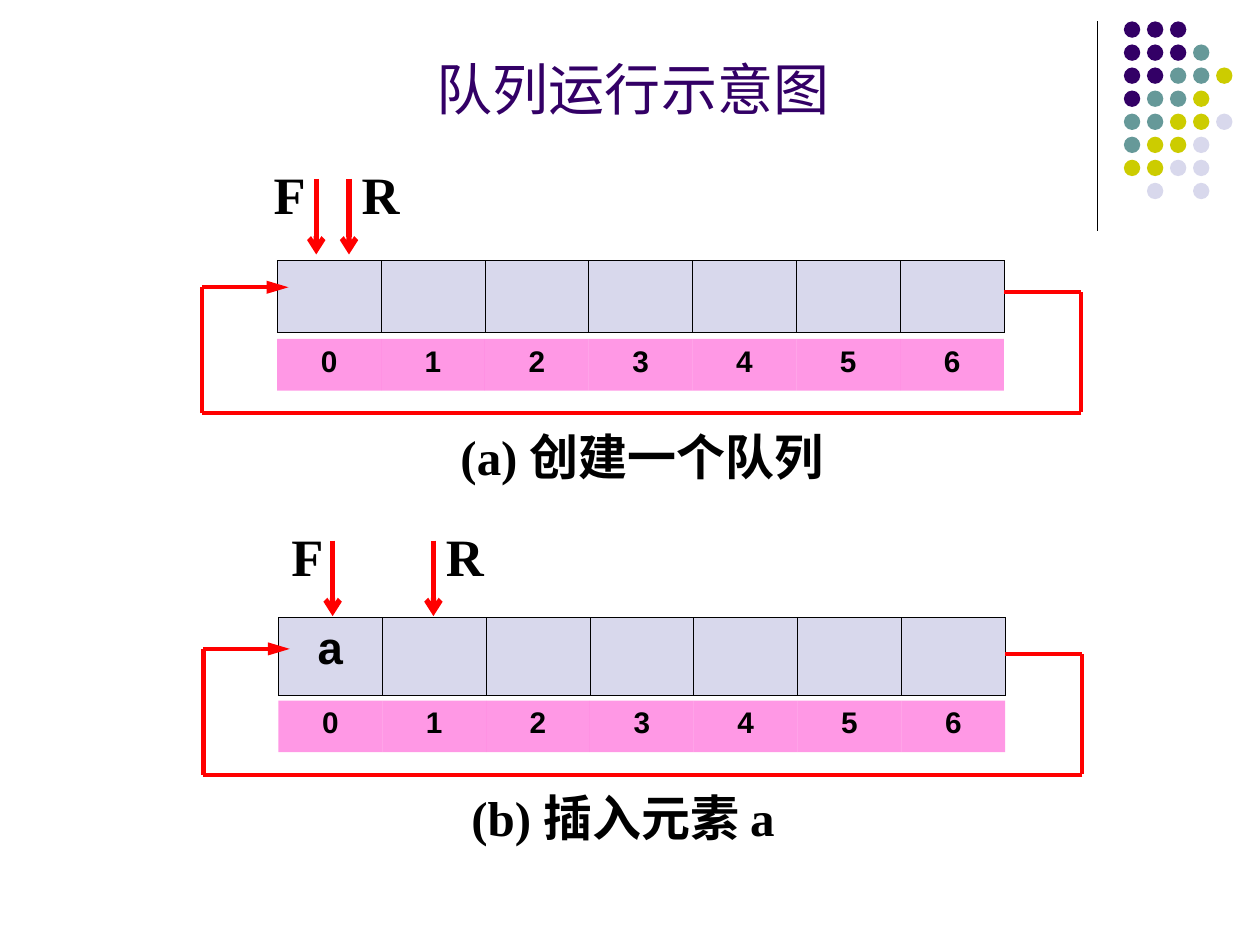
from lxml import etree
from pptx import Presentation
from pptx.dml.color import RGBColor
from pptx.enum.shapes import MSO_CONNECTOR, MSO_SHAPE
from pptx.enum.text import MSO_ANCHOR, PP_ALIGN
from pptx.oxml.ns import qn
from pptx.util import Inches, Pt

LINE = MSO_CONNECTOR.STRAIGHT
OVAL = MSO_SHAPE.OVAL
MIDDLE = MSO_ANCHOR.MIDDLE
CENTER = PP_ALIGN.CENTER

BLACK = RGBColor(0x00, 0x00, 0x00)
PURPLE = RGBColor(0x33, 0x00, 0x66)
TEAL = RGBColor(0x66, 0x99, 0x99)
YELLOW = RGBColor(0xCC, 0xCC, 0x00)
PALE = RGBColor(0xD8, 0xD8, 0xEC)
PINK = RGBColor(0xFF, 0x33, 0xCC)
RED = RGBColor(0xFF, 0x00, 0x00)

SANS, SERIF, HAN = "Arial", "Times New Roman", "Noto Sans CJK SC"
COLS, ROWS = 100, 75
SLOTS = 7
DOTS = ("PPP", "PPPT", "PPTTY", "PTTY", "TTYYL", "TYYL", "YYLL", " L L")
TINTS = {"P": PURPLE, "T": TEAL, "Y": YELLOW, "L": PALE}


def write(frame, *parts, size, font=SERIF, color=BLACK, bold=True, space=None):
    para = frame.paragraphs[0]
    para.alignment = CENTER
    if space:
        para.line_spacing = Pt(space)
    for part in parts:
        text, face = part if isinstance(part, tuple) else (part, font)
        run = para.add_run()
        run.text = text
        run.font.name = face
        run.font.size = Pt(size)
        run.font.bold = bold
        run.font.color.rgb = color
        latin = run.font._element.find(qn("a:latin"))
        east = etree.Element(qn("a:ea"), typeface=face)
        latin.addnext(east)


class Board:
    def __init__(self, deck):
        self.slide = deck.slides.add_slide(deck.slide_layouts[6])
        self.col = deck.slide_width / COLS
        self.row = deck.slide_height / ROWS

    def place(self, x, y, w, h):
        return (round(x * self.col), round(y * self.row),
                round(w * self.col), round(h * self.row))

    def dot(self, x, y, size, color):
        oval = self.slide.shapes.add_shape(OVAL, *self.place(x, y, size, size))
        oval.shadow.inherit = False
        oval.fill.solid()
        oval.fill.fore_color.rgb = color
        oval.line.fill.background()

    def line(self, x, y, dx, dy, color=RED, width=2.5, head=None, size="med"):
        ends = self.place(x, y, x + dx, y + dy)
        link = self.slide.shapes.add_connector(LINE, *ends)
        link.line.color.rgb = color
        link.line.width = Pt(width)
        if head:
            etree.SubElement(link.line._get_or_add_ln(), qn("a:tailEnd"),
                             type=head, w="med", len=size)
        etree.SubElement(link._element.spPr, qn("a:effectLst"))

    def label(self, box, *parts, space=33, **style):
        frame = self.slide.shapes.add_textbox(*self.place(*box)).text_frame
        frame.word_wrap = True
        frame.margin_left = frame.margin_right = 0
        frame.margin_top = frame.margin_bottom = 0
        frame.vertical_anchor = MIDDLE
        write(frame, *parts, space=space, **style)

    def strip(self, box, items, size, fill, alpha=None, edge=None):
        table = self.slide.shapes.add_table(1, SLOTS, *self.place(*box)).table
        table.first_row = table.horz_banding = False
        for cell, item in zip(table.rows[0].cells, items):
            cell.fill.solid()
            cell.fill.fore_color.rgb = fill
            if alpha:
                tint = cell.fill._xPr.find(".//" + qn("a:srgbClr"))
                etree.SubElement(tint, qn("a:alpha"), val=str(alpha * 1000))
            self.frame(cell, edge)
            if item:
                write(cell.text_frame, item, size=size, font=SANS)

    def frame(self, cell, edge):
        props = cell._tc.get_or_add_tcPr()
        for spot, side in enumerate(("lnL", "lnR", "lnT", "lnB")):
            rule = etree.Element(qn("a:" + side), w=str(int(Pt(edge or 0))))
            if edge:
                paint = etree.SubElement(rule, qn("a:solidFill"))
                etree.SubElement(paint, qn("a:srgbClr"), val=str(BLACK))
            else:
                etree.SubElement(rule, qn("a:noFill"))
            props.insert(spot, rule)

    def slots(self, x, y, top, high, items):
        self.strip((x + 22, top, 57.7, high), items, 26, PALE, edge=0.45)
        self.strip((x + 22, y + 26.9, 57.7, 4.1), map(str, range(SLOTS)),
                   17, PINK, alpha=50)

    def mark(self, name, x, tip, y):
        self.line(tip, y + 1, 0, 6, width=3, head="arrow")
        self.label((x, y, 4.4, 4.8), name, size=30)

    def loop(self, x, y):
        left, right, base = x + 16.05, x + 85.8, y + 32.8
        self.line(x + 79.7, y + 23.2, 6.1, 0)
        self.line(right, y + 23.2, 0, 9.5)
        self.line(right, base, left - right, 0)
        self.line(left, base, 0, -10)
        self.line(left, y + 22.8, 6.85, 0, head="triangle", size="lg")


def main():
    deck = Presentation()
    deck.slide_width, deck.slide_height = Inches(10), Inches(7.5)
    board = Board(deck)

    board.line(87.1, 1.7, 0, 16.6, color=BLACK, width=0.75)
    for row, names in enumerate(DOTS):
        for col, name in enumerate(names):
            if name in TINTS:
                board.dot(89.2 + 1.83 * col, 1.7 + 1.83 * row, 1.3, TINTS[name])

    first, second = (0, 0), (0.1, 28.7)
    board.slots(*first, 20.7, 5.7, [""] * SLOTS)
    board.slots(*second, 49, 6.2, ["a"] + [""] * (SLOTS - 1))

    board.mark("F", 20.8, 25.1, 13.2)
    board.mark("R", 28, 27.7, 13.2)
    board.loop(*first)
    board.label((34.6, 33.6, 32.7, 5.2), "(a) ", ("创建一个队列", HAN), size=28)

    board.mark("F", 22.2, 26.4, 41.9)
    board.mark("R", 34.7, 34.4, 41.9)
    board.loop(*second)
    board.label((33.1, 62.3, 32.7, 5.2), "(b) ", ("插入元素 ", HAN), "a", size=28)

    board.label((20.5, 1.4, 59.5, 8.8), "队列运行示意图", size=32, font=HAN,
                color=PURPLE, bold=False, space=55)
    deck.save("out.pptx")


if __name__ == "__main__":
    main()
